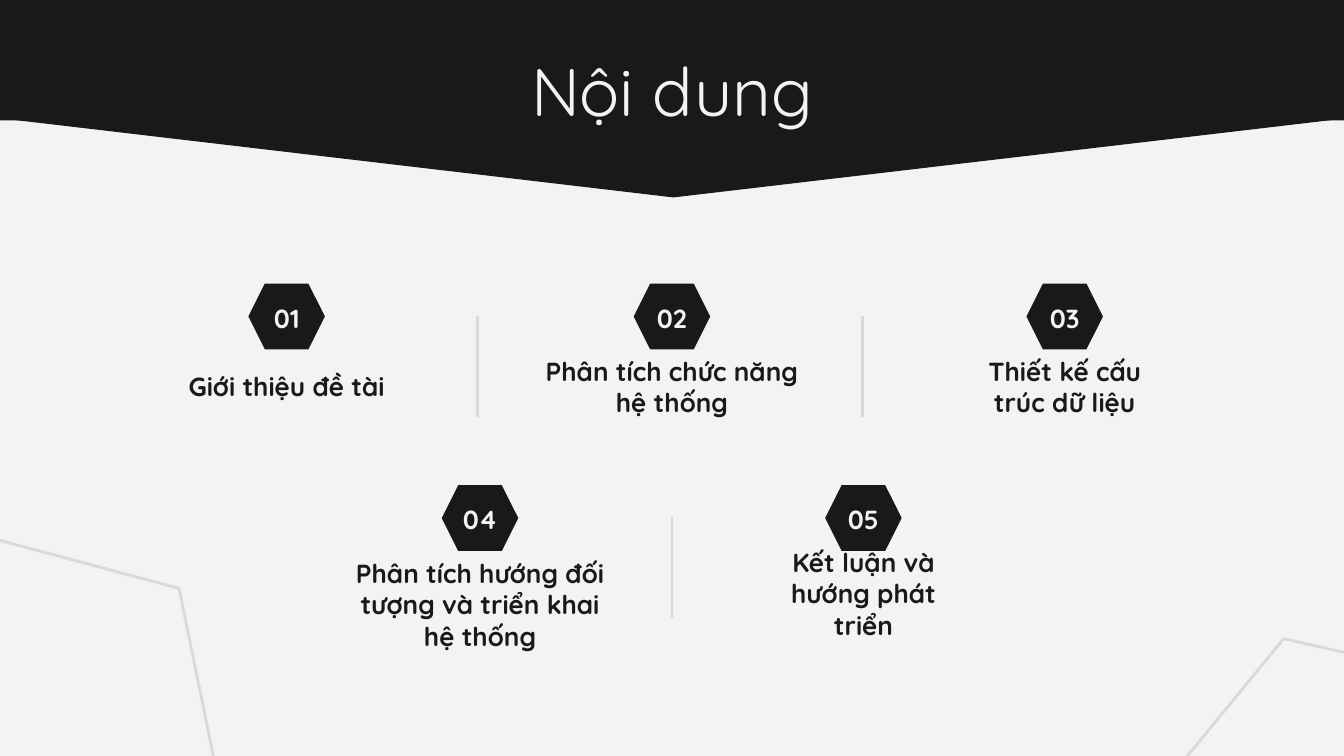
from pptx import Presentation
from pptx.dml.color import RGBColor
from pptx.enum.shapes import MSO_CONNECTOR, MSO_SHAPE
from pptx.enum.text import MSO_ANCHOR, PP_ALIGN
from pptx.oxml.ns import qn
from pptx.util import Pt
from lxml.etree import SubElement

DARK = "191919"
LIGHT = "F3F3F3"
GREY = "D9D9D9"
FONT = "Quicksand"


def add_solid(kind, left, top, width, height, fill=None, line=None, weight=1.5, rotation=0):
    solid = slide.shapes.add_shape(kind, Pt(left), Pt(top), Pt(width), Pt(height))
    solid.shadow.inherit = False
    solid.rotation = rotation
    if fill:
        solid.fill.solid()
        solid.fill.fore_color.rgb = RGBColor.from_string(fill)
    else:
        solid.fill.background()
    if line:
        solid.line.color.rgb = RGBColor.from_string(line)
        solid.line.width = Pt(weight)
    else:
        solid.line.fill.background()


def add_label(text, left, top, width, height, size, color, bold, anchor):
    frame = slide.shapes.add_textbox(Pt(left), Pt(top), Pt(width), Pt(height)).text_frame
    frame.word_wrap = True
    frame.vertical_anchor = anchor
    frame.margin_left = frame.margin_right = Pt(7.2)
    frame.margin_top = frame.margin_bottom = Pt(7.2)
    paragraph = frame.paragraphs[0]
    paragraph.alignment = PP_ALIGN.CENTER
    run = paragraph.add_run()
    run.text = text
    run.font.name = FONT
    run.font.size = Pt(size)
    run.font.bold = bold
    run.font.color.rgb = RGBColor.from_string(color)


deck = Presentation()
deck.slide_width = Pt(720)
deck.slide_height = Pt(405)
slide = deck.slides.add_slide(deck.slide_layouts[6])
slide.background.fill.solid()
slide.background.fill.fore_color.rgb = RGBColor.from_string(LIGHT)

add_solid(MSO_SHAPE.ISOSCELES_TRIANGLE, -0.7, 62.9, 722.9, 42.5, DARK, DARK, 0.75, 180)
add_solid(MSO_SHAPE.RECTANGLE, -0.7, -2.9, 722.9, 67.4, DARK)
add_label("Nội dung", 242.6, 19.4, 234.8, 54, 36, LIGHT, False, MSO_ANCHOR.TOP)

for divider_x, divider_top in [(255.6, 169.2), (462.2, 169.2), (360, 277.2)]:
    divider = slide.shapes.add_connector(
        MSO_CONNECTOR.STRAIGHT, Pt(divider_x), Pt(divider_top), Pt(divider_x), Pt(divider_top + 54))
    divider.line.color.rgb = RGBColor.from_string(GREY)
    divider.line.width = Pt(1.5)
    SubElement(divider._element.spPr, qn("a:effectLst"))

topics = [
    ("Giới thiệu đề tài", 153.6, 151.9, 184.3, 126),
    ("Phân tích chức năng hệ thống", 360, 151.9, 184.3, 149.8),
    ("Thiết kế cấu trúc dữ liệu", 570.4, 151.9, 184.3, 123.1),
    ("Phân tích hướng đối tượng và triển khai hệ thống", 257.2, 259.9, 301, 149.8),
    ("Kết luận và hướng phát triển", 462.6, 259.9, 295.2, 126),
]
for number, (topic, center, badge_top, topic_top, topic_width) in enumerate(topics, 1):
    add_solid(MSO_SHAPE.HEXAGON, center - 20.5, badge_top, 41, 35.3, DARK)
    add_label(f"{number:02}", center - 29.5, badge_top + 6.5, 59, 23.8,
              14, LIGHT, True, MSO_ANCHOR.MIDDLE)
    add_label(topic, center - topic_width / 2, topic_top, topic_width, 45.4,
              14, DARK, True, MSO_ANCHOR.MIDDLE)

for corner_left, corner_top, corner_angle in [(-112.3, 293.8, 15), (596.9, 363.6, 309.4)]:
    add_solid(MSO_SHAPE.HEXAGON, corner_left, corner_top, 232.6, 182.2,
              line=GREY, rotation=corner_angle)

deck.save("out.pptx")
